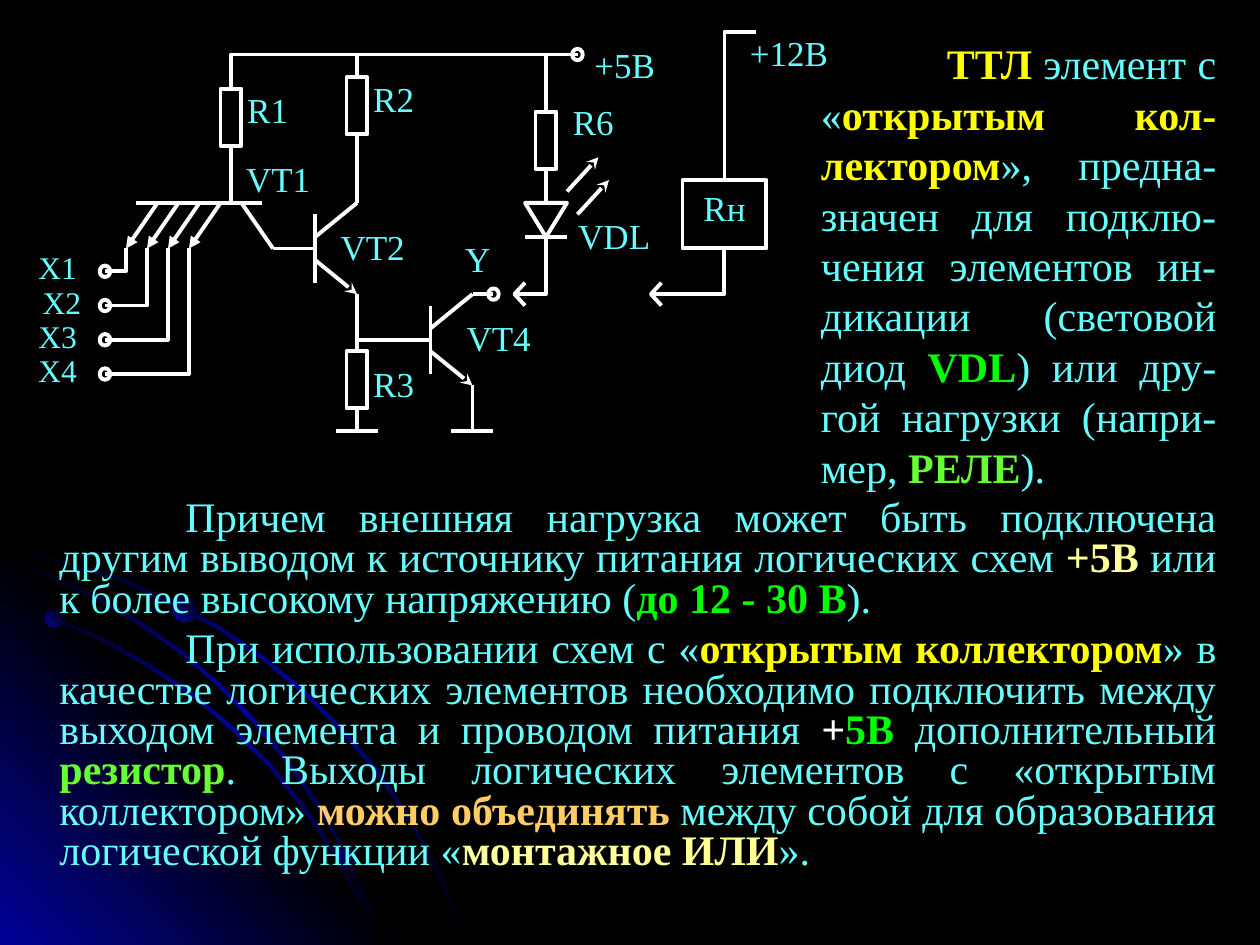
from lxml import etree
from pptx import Presentation
from pptx.dml.color import RGBColor
from pptx.enum.shapes import MSO_CONNECTOR as CONN, MSO_SHAPE as SHAPE
from pptx.enum.text import MSO_ANCHOR as ANCHOR, PP_ALIGN as ALIGN
from pptx.oxml.ns import qn
from pptx.util import Cm, Pt

BLACK = RGBColor(0x00, 0x00, 0x00)
WHITE = RGBColor(0xFF, 0xFF, 0xFF)
NAVY = RGBColor(0x01, 0x01, 0x99)
CYAN = RGBColor(0x66, 0xFF, 0xFF)
YELLOW = RGBColor(0xFF, 0xFF, 0x00)
CREAM = RGBColor(0xFF, 0xFF, 0x99)
ORANGE = RGBColor(0xFF, 0xCC, 0x66)
GREEN = RGBColor(0x00, 0xFF, 0x00)
LIME = RGBColor(0x66, 0xFF, 0x33)
FONT = "Times New Roman"

SLIDE_H = 19.05
COL, ROW, TOP = 2.54 / 12, 0.23, 0.64  # circuit grid, cm

ARCS = [
    [(0, 11.05), (1.45, 11.35), (2.49, 11.66), (3.45, 12.12), (4.42, 12.62),
     (5.31, 13.23), (6.15, 13.92), (6.91, 14.68), (7.62, 15.52), (8.26, 16.46),
     (8.61, 17.09), (8.94, 17.73), (9.19, 18.36), (9.45, 19.02)],
    [(0, 12.07), (1.04, 12.4), (2.01, 12.83), (2.97, 13.36), (3.86, 13.94),
     (4.67, 14.63), (5.46, 15.39), (6.15, 16.26), (6.76, 17.17), (7.26, 18.08),
     (7.52, 18.54), (7.7, 19.02)],
    [(0, 11.23), (0.99, 11.56), (1.93, 12.01), (2.82, 12.52), (3.66, 13.11),
     (4.45, 13.79), (5.18, 14.55), (5.82, 15.32), (6.45, 16.23), (6.83, 16.89),
     (7.16, 17.6), (7.47, 18.29), (7.7, 19.02)],
]
DOTS = [(0.91, 12.27, 0.38, 135), (6.78, 17.12, 0.41, 225), (3.48, 12.01, 0.53, 135)]

LABELS = [
    ("+5В", 56, 1, 7), ("+12В", 70.4, 0, 9.5), ("R1", 23, 5, 5), ("R2", 35, 4, 5),
    ("R3", 35, 29, 5), ("R6", 54, 6, 5), ("VT1", 23, 11, 7), ("VT2", 32, 17, 7),
    ("VT4", 44, 25, 7), ("VDL", 54, 16, 9), ("Y", 43, 18, 5),
]

INTRO = [[
    ("ТТЛ", YELLOW), (" элемент с «", CYAN), ("открытым кол-лектором", YELLOW),
    ("», предна-значен для подклю-чения элементов ин-дикации (световой диод ", CYAN),
    ("VDL", GREEN), (") или дру-гой нагрузки (напри-мер, ", CYAN), ("РЕЛЕ", LIME),
    (").", CYAN),
]]
BODY = [
    [("Причем внешняя нагрузка может быть подключена другим выводом к источнику "
      "питания логических схем ", CYAN), ("+5В", CREAM),
     (" или к более высокому напряжению (", CYAN), ("до 12 - 30 В", GREEN), (").", CYAN)],
    [("При использовании схем с «", CYAN), ("открытым коллектором", YELLOW),
     ("» в качестве логических элементов необходимо подключить между выходом "
      "элемента и проводом питания ", CYAN), ("+", WHITE), ("5В", GREEN),
     (" дополнительный ", CYAN), ("резистор", LIME),
     (". Выходы логических элементов с «открытым коллектором» ", CYAN),
     ("можно объединять", ORANGE),
     (" между собой для образования логической функции «", CYAN),
     ("монтажное ИЛИ", CREAM), ("».", CYAN)],
]


def add_run(p, text, size=20, color=CYAN, bold=False):
    r = p.add_run()
    r.text = text
    r.font.name, r.font.size, r.font.bold = FONT, Pt(size), bold
    r.font.color.rgb = color


def grid(x, y):
    return Cm(x * COL), Cm(TOP + y * ROW)


class Board:
    """Line style and slide; circuit parts are placed in grid units."""

    def __init__(self, s, color=WHITE, width=2.25):
        self.s, self.color, self.width = s, color, Pt(width)

    def stroke(self, sp):
        sp.line.color.rgb, sp.line.width = self.color, self.width
        return sp

    def outline(self, sp):
        sp.shadow.inherit = False
        sp.fill.background()
        return self.stroke(sp)

    def gradient(self, sp, colors, angle):
        """Spread the colours evenly, angle in degrees clockwise."""
        sp.shadow.inherit = False
        sp.line.fill.background()
        sp.fill.gradient()
        fill = sp.fill._xPr.find(qn("a:gradFill"))
        stops = fill.find(qn("a:gsLst"))
        for old in list(stops):
            stops.remove(old)
        for i, color in enumerate(colors):
            gs = etree.SubElement(stops, qn("a:gs"), pos=str(100000 * i // (len(colors) - 1)))
            etree.SubElement(gs, qn("a:srgbClr"), val=str(color))
        fill.find(qn("a:lin")).set("ang", str(angle * 60000))

    def poly(self, pts, close=False):
        fb = self.s.shapes.build_freeform(*pts[0], scale=1.0)
        fb.add_line_segments(pts[1:], close=close)
        return fb.convert_to_shape()

    def arc(self, edge):
        inner = [(max(x - 0.05, 0), min(y + 0.05, SLIDE_H)) for x, y in reversed(edge)]
        sp = self.poly([(Cm(x), Cm(y)) for x, y in edge + inner], close=True)
        self.gradient(sp, [BLACK, NAVY, BLACK], 225)

    def dot(self, x, y, d, angle):
        sp = self.s.shapes.add_shape(SHAPE.OVAL, Cm(x), Cm(y), Cm(d), Cm(d))
        self.gradient(sp, [BLACK, NAVY], angle)

    def wire(self, *pts, close=False):
        self.outline(self.poly([grid(*pt) for pt in pts], close))

    def line(self, start, end, head=None):
        cx = self.s.shapes.add_connector(CONN.STRAIGHT, *grid(*start), *grid(*end))
        self.stroke(cx)
        if head:
            etree.SubElement(cx.line._get_or_add_ln(), qn("a:tailEnd"), type=head)
        etree.SubElement(cx._element.spPr, qn("a:effectLst"))
        return cx

    def shape(self, kind, x, y, w, h):
        return self.outline(self.s.shapes.add_shape(
            kind, *grid(x, y), Cm(w * COL), Cm(h * ROW)))

    def terminal(self, x, y):
        self.shape(SHAPE.OVAL, x - 0.5, y - 0.5, 1, 1)

    def resistor(self, x, y, up=None, down=None):
        """Resistor centred on column x, with leads to the rows up and down."""
        sp = self.shape(SHAPE.RECTANGLE, x - 1, y, 2, 5)
        if up is not None:
            self.line((x, up), (x, y)).end_connect(sp, 0)
        if down is not None:
            self.line((x, y + 5), (x, down)).begin_connect(sp, 2)

    def transistor(self, x, y):
        self.line((x, y - 3), (x, y + 3))
        self.line((x, y - 1), (x + 4, y - 4))
        self.line((x, y + 1), (x + 4, y + 4), "stealth")
        self.line((x - 2, y), (x, y))

    def label(self, text, x, y, w, size=20):
        tf = self.s.shapes.add_textbox(*grid(x, y), Cm(w * COL), Cm(4 * ROW)).text_frame
        tf.margin_left = tf.margin_right = tf.margin_top = tf.margin_bottom = 0
        tf.word_wrap = True
        tf.paragraphs[0].alignment = ALIGN.CENTER
        add_run(tf.paragraphs[0], text, size)

    def prose(self, paragraphs, x, y, w, h, margin=0, spacing=1.0):
        tf = self.s.shapes.add_textbox(Cm(x), Cm(y), Cm(w), Cm(h)).text_frame
        tf.word_wrap = True
        for i, parts in enumerate(paragraphs):
            p = tf.add_paragraph() if i else tf.paragraphs[0]
            p.alignment, p.line_spacing = ALIGN.JUSTIFY, spacing
            if i:
                p.space_before = Pt(6)
            pPr = p._p.get_or_add_pPr()
            pPr.set("marL", str(Cm(margin)))
            pPr.set("indent", str(Cm(2.54)))
            for text, color in parts:
                add_run(p, text, 24, color, color != CYAN)


def draw_backdrop(b):
    b.arc(ARCS[0])
    corner = [(Cm(x), Cm(y)) for x, y in [(8.18, SLIDE_H), (0, SLIDE_H), (0, 10.85)]]
    b.gradient(b.poly(corner, close=True), [NAVY, BLACK, NAVY], 135)
    for edge in ARCS[1:]:
        b.arc(edge)
    for dot in DOTS:
        b.dot(*dot)


def draw_circuit(b):
    b.wire((34, 4), (34, 2), (55, 2))
    b.wire((22, 5), (22, 2), (34, 2))
    b.resistor(22, 5, down=15)
    b.resistor(34, 4, down=15)
    b.resistor(34, 28, up=23, down=35)
    b.resistor(52, 7, up=2, down=15)

    b.line((25, 15), (13, 15))
    b.line((23, 15), (26, 19))
    b.line((26, 19), (28, 19))
    for i in range(4):
        x, y = 12 + 2 * i, 21 + 3 * i
        b.line((x + 3, 15), (x, 19), "triangle")
        b.wire((x, 19), (x, y), (10, y))
        b.terminal(10, y)
        b.label(f"X{i + 1}", 3.4 if i == 1 else 3, y - 2, 5, 18)

    b.transistor(30, 19)
    b.transistor(41, 27)
    b.line((39, 27), (34, 27))
    b.line((45, 23), (47, 23))
    b.line((45, 31), (45, 35))
    for x in (34, 45):
        b.line((x - 2, 35), (x + 2, 35))
    b.terminal(47, 23)
    b.terminal(55, 2)

    b.wire((50, 15), (54, 15), (52, 18), close=True)
    b.line((50, 18), (54, 18))
    for x, y in [(54, 14), (55, 16)]:
        b.line((x, y), (x + 3, y - 3), "stealth")

    load = b.shape(SHAPE.RECTANGLE, 65, 13, 8, 6)
    tf = load.text_frame
    tf.vertical_anchor = ANCHOR.TOP
    tf.paragraphs[0].alignment = ALIGN.CENTER
    add_run(tf.paragraphs[0], "Rн")
    b.wire((69, 13), (69, 0), (72, 0))
    for x, y, tip in [(52, 18, 49), (69, 19, 62)]:
        b.wire((x, y), (x, 23), (tip, 23))
        b.wire((tip + 1, 22), (tip, 23), (tip + 1, 24))
    for label in LABELS:
        b.label(*label)


def main():
    prs = Presentation()
    prs.slide_width, prs.slide_height = Cm(25.4), Cm(SLIDE_H)
    s = prs.slides.add_slide(prs.slide_layouts[6])
    s.background.fill.solid()
    s.background.fill.fore_color.rgb = BLACK
    b = Board(s)
    draw_backdrop(b)
    b.prose(BODY, 0, 9.96, 24.77, 8.46, margin=0.95, spacing=0.8)
    b.prose(INTRO, 16.3, 0.64, 8.47, 9.1)
    draw_circuit(b)
    prs.save("out.pptx")


if __name__ == "__main__":
    main()
